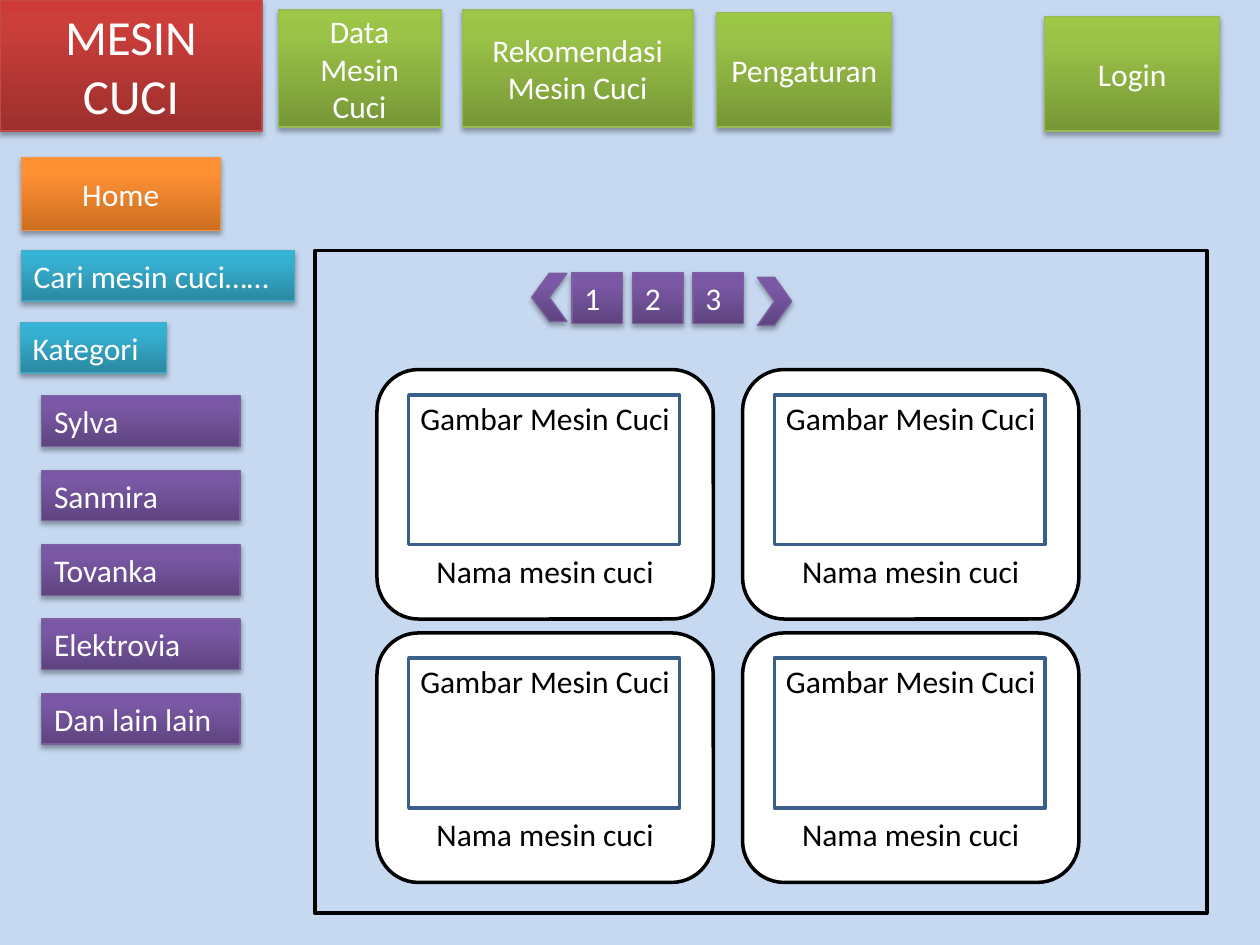
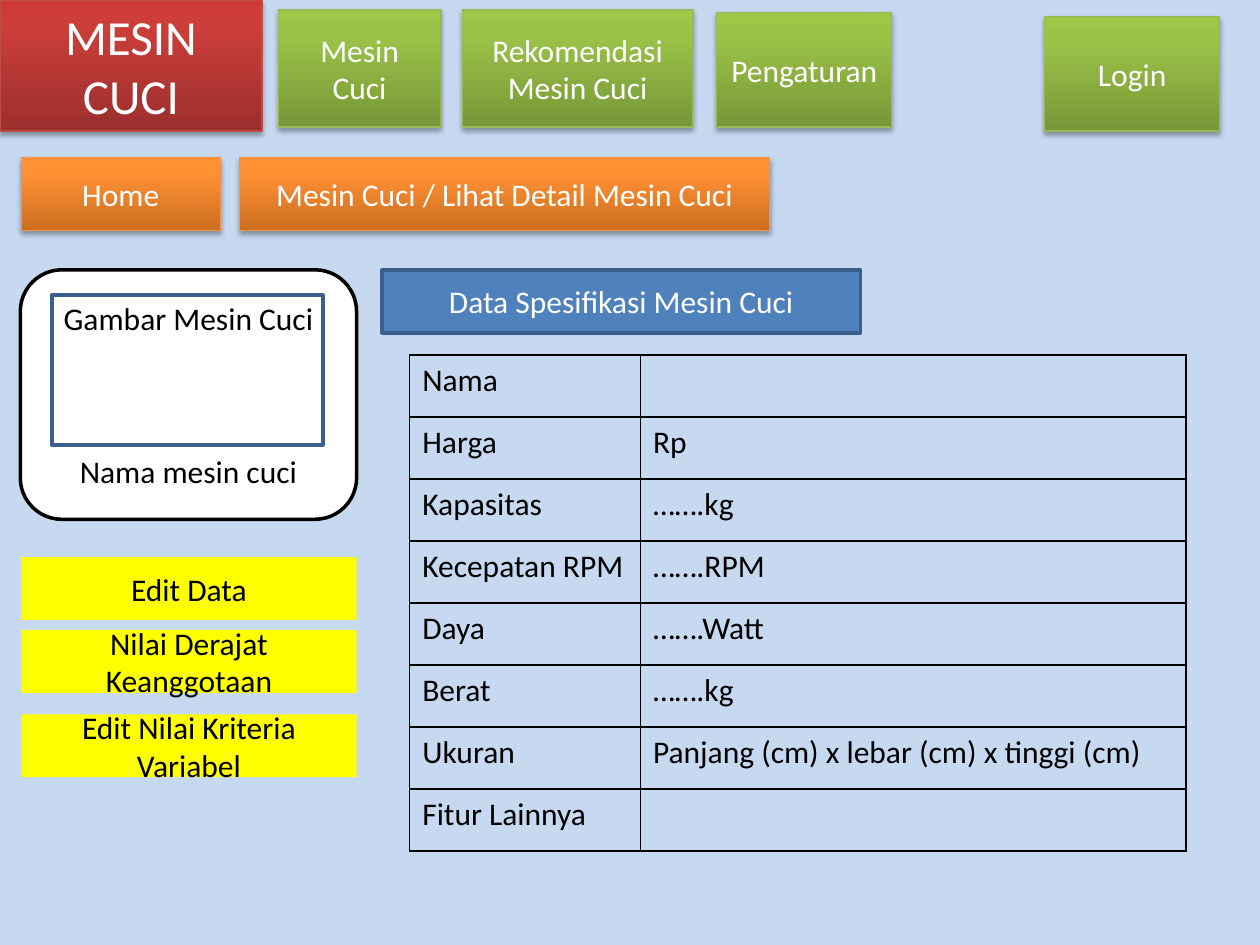
from dataclasses import dataclass
from typing import Optional

from lxml.etree import SubElement
from pptx import Presentation
from pptx.dml.color import RGBColor
from pptx.enum.shapes import MSO_SHAPE
from pptx.enum.text import MSO_ANCHOR, MSO_AUTO_SIZE, PP_ALIGN
from pptx.oxml.ns import qn
from pptx.util import Cm, Pt


@dataclass(frozen=True)
class Gloss:
    """Glossy fill: colours from bottom to top, and the outline colour."""
    bottom: str
    middle: str
    top: str
    edge: str


@dataclass(frozen=True)
class Theme:
    """Colours and type sizes of the whole mock-up."""
    font: str = "Calibri"
    title_size: int = 28
    text_size: int = 18
    background: str = "C6D9F1"
    white: str = "FFFFFF"
    black: str = "000000"
    action: str = "FFFF00"
    heading: str = "4F81BD"
    frame: str = "3A5F8C"
    red: Gloss = Gloss("9C2F2D", "CB3E3A", "CE3B37", "BF4C48")
    green: Gloss = Gloss("779737", "9BC348", "9DC746", "98B955")
    orange: Gloss = Gloss("CC6E20", "FF9034", "FF9136", "F69240")
    teal: Gloss = Gloss("2A88A2", "37B1D2", "34B4D6", "46AAC5")
    purple: Gloss = Gloss("5F4480", "7B58A6", "7C57A8", "7D60A0")


@dataclass(frozen=True)
class Box:
    """Position and size in centimetres."""
    left: float
    top: float
    width: float
    height: float

    def lengths(self) -> tuple:
        """Return left, top, width and height as slide lengths."""
        return Cm(self.left), Cm(self.top), Cm(self.width), Cm(self.height)


@dataclass(frozen=True)
class Button:
    """A glossy button with its label."""
    label: str
    box: Box
    gloss: Gloss
    align: PP_ALIGN = PP_ALIGN.CENTER


THEME = Theme()
TITLE_BOX = Box(0, 0, 5.28, 2.64)
SHARED_BUTTONS = [
    Button("Rekomendasi Mesin Cuci", Box(9.32, 0.2, 4.65, 2.36), THEME.green),
    Button("Pengaturan", Box(14.45, 0.25, 3.53, 2.31), THEME.green),
    Button("Login", Box(21.06, 0.33, 3.53, 2.31), THEME.green),
    Button("Home", Box(0.43, 3.18, 4.01, 1.47), THEME.orange),
]
DATA_BOX = Box(5.61, 0.2, 3.28, 2.36)
SEARCH_BUTTONS = [
    Button("Cari mesin cuci……", Box(0.43, 5.05, 5.51, 1.02), THEME.teal, PP_ALIGN.LEFT),
    Button("Kategori", Box(0.41, 6.5, 2.95, 1.02), THEME.teal, PP_ALIGN.LEFT),
]
CATEGORIES = ["Sylva", "Sanmira", "Tovanka", "Elektrovia", "Dan lain lain"]
ACTIONS = {
    "Edit Data": 11.23,
    "Nilai Derajat Keanggotaan": 12.7,
    "Edit Nilai Kriteria Variabel": 14.4,
}
SPECIFICATIONS = [
    ("Nama", ""),
    ("Harga", "Rp"),
    ("Kapasitas", "…….kg"),
    ("Kecepatan RPM", "…….RPM"),
    ("Daya", "…….Watt"),
    ("Berat", "…….kg"),
    ("Ukuran", "Panjang (cm) x lebar (cm) x tinggi (cm)"),
    ("Fitur Lainnya", ""),
]


def rgb(colour: str) -> RGBColor:
    """Turn a hex string into a colour."""
    return RGBColor.from_string(colour)


def add_run(paragraph, text: str, colour: str, size: int = THEME.text_size) -> None:
    """Append a formatted run to a paragraph."""
    run = paragraph.add_run()
    run.text = text
    run.font.name = THEME.font
    run.font.size = Pt(size)
    run.font.color.rgb = rgb(colour)


def write_label(shape, text: str, colour: str, align: PP_ALIGN = PP_ALIGN.CENTER,
                size: int = THEME.text_size) -> None:
    """Write one vertically centred paragraph into a shape."""
    frame = shape.text_frame
    frame.word_wrap = True
    frame.auto_size = MSO_AUTO_SIZE.NONE
    frame.vertical_anchor = MSO_ANCHOR.MIDDLE
    paragraph = frame.paragraphs[0]
    paragraph.alignment = align
    add_run(paragraph, text, colour, size)


def apply_gloss(shape, gloss: Gloss) -> None:
    """Give a shape a three-stop gradient, a thin outline and a soft shadow."""
    shape.fill.gradient()
    shape.fill.gradient_angle = 90
    properties = shape.element.spPr
    stops = properties.find(qn("a:gradFill")).find(qn("a:gsLst"))
    for stop in list(stops):
        stops.remove(stop)
    for position, colour in ((0, gloss.bottom), (80, gloss.middle), (100, gloss.top)):
        stop = SubElement(stops, qn("a:gs"), pos=str(position * 1000))
        SubElement(stop, qn("a:srgbClr"), val=colour)
    shape.line.color.rgb = rgb(gloss.edge)
    shape.line.width = Pt(0.75)
    shape.shadow.inherit = False
    shadow = SubElement(properties.find(qn("a:effectLst")), qn("a:outerShdw"),
                        blurRad=str(Pt(3.1)), dist=str(Pt(1.8)),
                        dir="5400000", rotWithShape="0")
    shade = SubElement(shadow, qn("a:srgbClr"), val=THEME.black)
    SubElement(shade, qn("a:alpha"), val="35000")


def add_flat(shapes, box: Box, fill: Optional[str], edge: Optional[str],
             kind: MSO_SHAPE = MSO_SHAPE.RECTANGLE):
    """Add a plain shape; None leaves out the fill or the outline."""
    shape = shapes.add_shape(kind, *box.lengths())
    shape.shadow.inherit = False
    if fill:
        shape.fill.solid()
        shape.fill.fore_color.rgb = rgb(fill)
    else:
        shape.fill.background()
    if edge:
        shape.line.color.rgb = rgb(edge)
        shape.line.width = Pt(2)
    else:
        shape.line.fill.background()
    return shape


def add_button(slide, button: Button) -> None:
    """Draw a glossy button with its label."""
    shape = slide.shapes.add_shape(MSO_SHAPE.RECTANGLE, *button.box.lengths())
    apply_gloss(shape, button.gloss)
    write_label(shape, button.label, THEME.white, button.align)


def add_arrow(slide, box: Box, flipped: bool = False) -> None:
    """Draw a paging chevron, pointing left when flipped."""
    arrow = slide.shapes.add_shape(MSO_SHAPE.CHEVRON, *box.lengths())
    apply_gloss(arrow, THEME.purple)
    if flipped:
        arrow.element.spPr.get_or_add_xfrm().set("flipH", "1")


def add_product_card(slide, left: float, top: float) -> None:
    """Draw a grouped card: picture frame above, product name below."""
    group = slide.shapes.add_group_shape()
    card = add_flat(group.shapes, Box(left, top, 6.78, 5.03), THEME.white,
                    THEME.black, MSO_SHAPE.ROUNDED_RECTANGLE)
    write_label(card, "Gambar Mesin Cuci", THEME.black)
    name = card.text_frame.add_paragraph()
    name.alignment = PP_ALIGN.CENTER
    name.space_before = Pt(66)
    add_run(name, "Nama mesin cuci", THEME.black)
    add_flat(group.shapes, Box(left + 0.64, top + 0.51, 5.46, 3.02), None, THEME.frame)


def style_cell(cell, text: str) -> None:
    """Clear a cell's fill, draw its borders and write its text."""
    properties = cell._tc.get_or_add_tcPr()
    for side in ("a:lnL", "a:lnR", "a:lnT", "a:lnB"):
        border = SubElement(properties, qn(side), w=str(Pt(1)))
        SubElement(SubElement(border, qn("a:solidFill")), qn("a:srgbClr"), val=THEME.black)
    cell.fill.background()
    if text:
        add_run(cell.text_frame.paragraphs[0], text, THEME.black)


def add_specifications(slide) -> None:
    """Draw the specification table."""
    row_height = 1.25
    box = Box(8.26, 7.16, 15.65, row_height * len(SPECIFICATIONS))
    table = slide.shapes.add_table(len(SPECIFICATIONS), 2, *box.lengths()).table
    table.first_row = False
    table.horz_banding = False
    for column, width in zip(table.columns, (4.65, 11)):
        column.width = Cm(width)
    for row, texts in zip(table.rows, SPECIFICATIONS):
        row.height = Cm(row_height)
        for cell, text in zip(row.cells, texts):
            style_cell(cell, text)


def add_page(deck, data_label: str):
    """Start a page with the background, title and shared navigation."""
    slide = deck.slides.add_slide(deck.slide_layouts[5])
    slide.background.fill.solid()
    slide.background.fill.fore_color.rgb = rgb(THEME.background)
    title = slide.shapes.title
    title.left, title.top, title.width, title.height = TITLE_BOX.lengths()
    apply_gloss(title, THEME.red)
    write_label(title, "MESIN CUCI", THEME.white, size=THEME.title_size)
    for button in [Button(data_label, DATA_BOX, THEME.green), *SHARED_BUTTONS]:
        add_button(slide, button)
    return slide


def build_catalogue(deck) -> None:
    """Build the page with categories, paging and product cards."""
    slide = add_page(deck, "Data Mesin Cuci")
    for button in SEARCH_BUTTONS:
        add_button(slide, button)
    for index, category in enumerate(CATEGORIES):
        add_button(slide, Button(category, Box(0.84, 7.98 + 1.5 * index, 4, 1.02),
                                 THEME.purple, PP_ALIGN.LEFT))
    add_flat(slide.shapes, Box(6.35, 5.05, 17.98, 13.36), None, THEME.black)
    add_arrow(slide, Box(10.72, 5.51, 0.71, 0.97), flipped=True)
    for index in range(3):
        add_button(slide, Button(str(index + 1), Box(11.53 + 1.22 * index, 5.5, 1.02, 1.02),
                                 THEME.purple, PP_ALIGN.LEFT))
    add_arrow(slide, Box(15.27, 5.59, 0.69, 0.97))
    for row in range(2):
        for column in range(2):
            add_product_card(slide, 7.6 + 7.37 * column, 7.45 + 5.31 * row)


def build_detail(deck) -> None:
    """Build the page with one product's details."""
    slide = add_page(deck, "Mesin Cuci")
    add_button(slide, Button("Mesin Cuci / Lihat Detail Mesin Cuci",
                             Box(4.83, 3.18, 10.69, 1.47), THEME.orange))
    add_product_card(slide, 0.41, 5.44)
    for label, top in ACTIONS.items():
        action = add_flat(slide.shapes, Box(0.43, top, 6.76, 1.27), THEME.action, None)
        write_label(action, label, THEME.black)
    heading = add_flat(slide.shapes, Box(7.7, 5.44, 9.65, 1.27), THEME.heading, THEME.frame)
    write_label(heading, "Data Spesifikasi Mesin Cuci", THEME.white)
    add_specifications(slide)


def main() -> None:
    """Create and save the presentation."""
    deck = Presentation()
    deck.slide_width, deck.slide_height = Cm(25.4), Cm(19.05)
    build_catalogue(deck)
    build_detail(deck)
    deck.save("out.pptx")


main()
